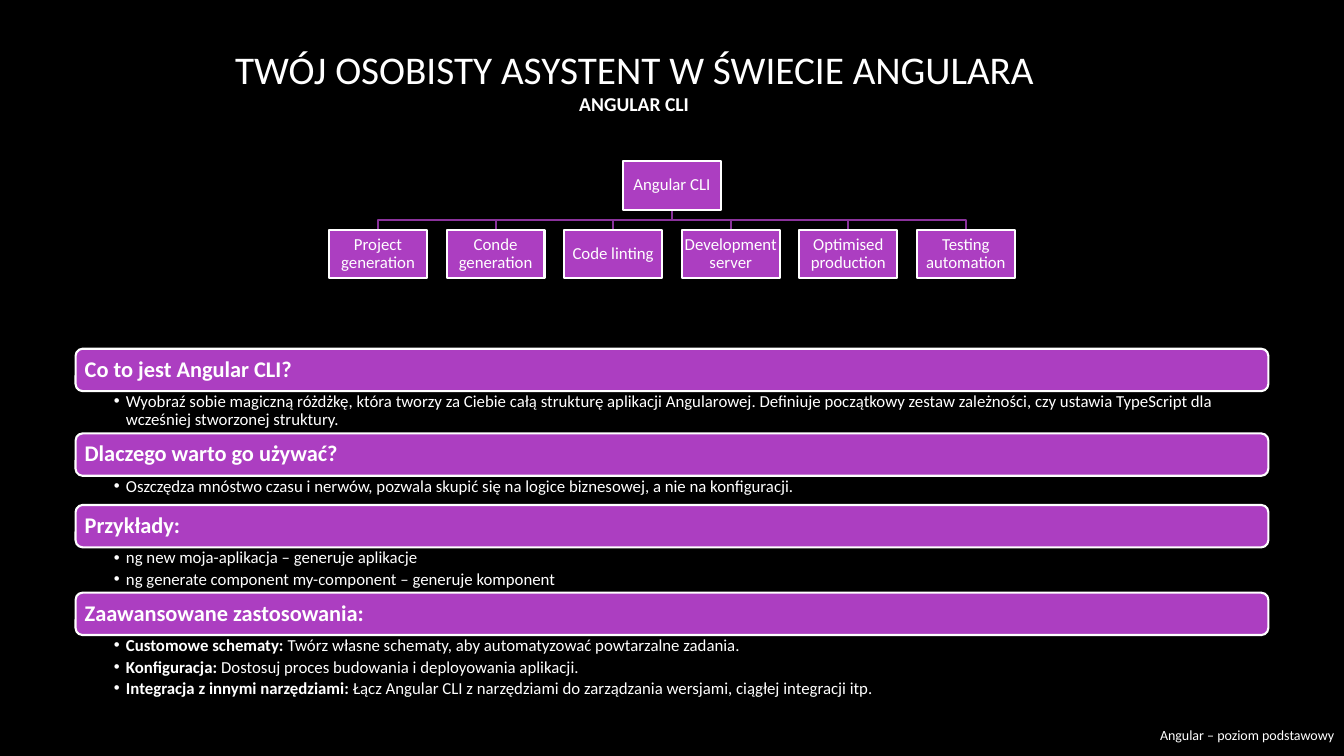
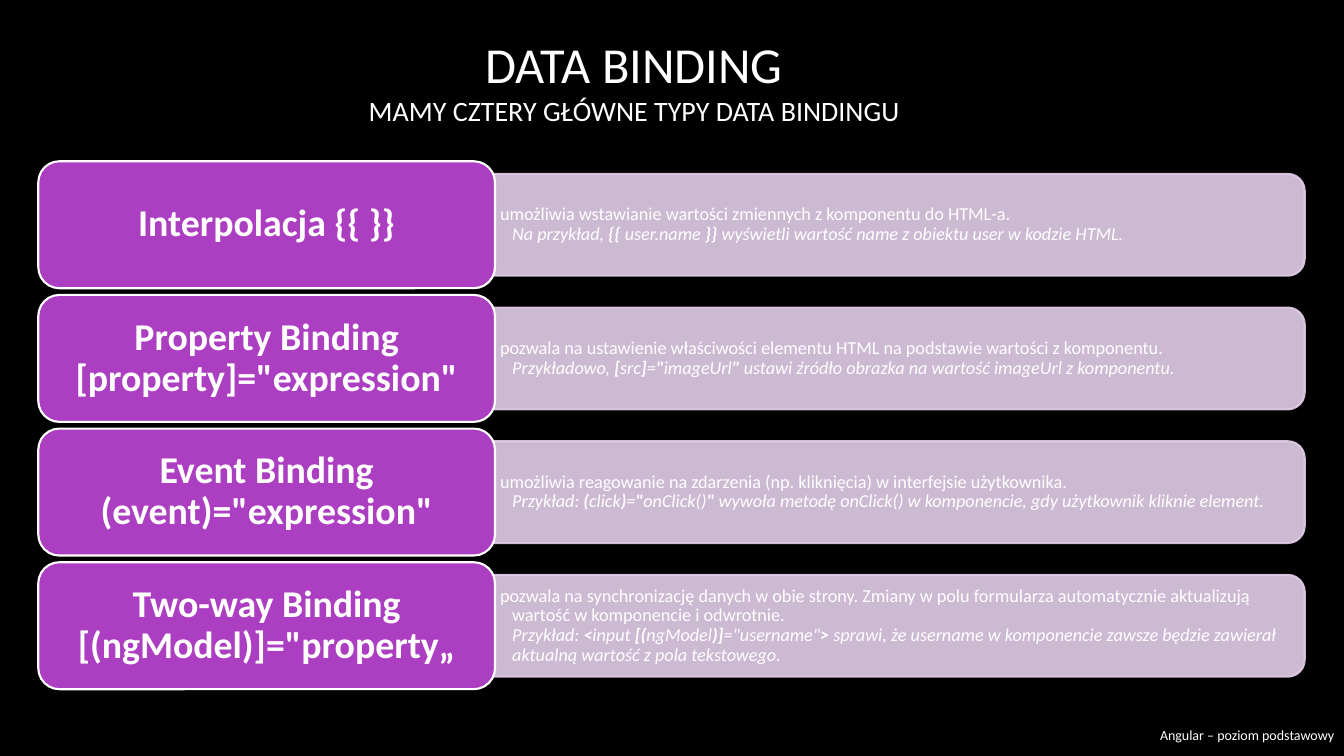
from lxml.etree import SubElement
from pptx import Presentation
from pptx.dml.color import RGBColor
from pptx.enum.shapes import MSO_SHAPE
from pptx.enum.text import MSO_ANCHOR, PP_ALIGN
from pptx.oxml.ns import qn
from pptx.util import Pt

PX = 9144  # 100 px to the inch
FONT = "Calibri"
BLACK, WHITE = "000000", "FFFFFF"
PURPLE, DARK_PURPLE, PALE_PURPLE = "AC3EC1", "8A329B", "E3CEE9"
BREAK = ("\n", "")

# Content
FOOTER = "Angular – poziom podstawowy"
CLI_TITLE = [("TWÓJ OSOBISTY ASYSTENT W ŚWIECIE ANGULARA", 28, ""), ("ANGULAR CLI", 14, "b")]
BINDING_TITLE = [("DATA BINDING", 36, ""), ("MAMY CZTERY GŁÓWNE TYPY DATA BINDINGU", 20, "")]

CLI_ROOT = "Angular CLI"
CLI_FEATURES = ["Project generation", "Conde generation", "Code linting",
                "Development server", "Optimised production", "Testing automation"]

# Heading, height of the details, details as (bold lead, rest)
CLI_SECTIONS = [
    ("Co to jest Angular CLI?", 42, [
        ("", "Wyobraź sobie magiczną różdżkę, która tworzy za Ciebie całą strukturę aplikacji "
             "Angularowej. Definiuje początkowy zestaw zależności, czy ustawia TypeScript dla "
             "wcześniej stworzonej struktury.")]),
    ("Dlaczego warto go używać?", 29, [
        ("", "Oszczędza mnóstwo czasu i nerwów, pozwala skupić się na logice biznesowej, "
             "a nie na konfiguracji.")]),
    ("Przykłady:", 45, [
        ("", "ng new moja-aplikacja – generuje aplikacje"),
        ("", "ng generate component my-component – generuje komponent")]),
    ("Zaawansowane zastosowania:", 69, [
        ("Customowe schematy:", " Twórz własne schematy, aby automatyzować powtarzalne zadania."),
        ("Konfiguracja:", " Dostosuj proces budowania i deployowania aplikacji."),
        ("Integracja z innymi narzędziami:",
         " Łącz Angular CLI z narzędziami do zarządzania wersjami, ciągłej integracji itp.")]),
]

# Name, description, example pieces (every second piece is bold)
BINDINGS = [
    ("Interpolacja {{ }}",
     "umożliwia wstawianie wartości zmiennych z komponentu do HTML-a.",
     ["Na przykład, ", "{{", " user.name ", "}}",
      " wyświetli wartość name z obiektu user w kodzie HTML."]),
    ('Property Binding [property]="expression"',
     "pozwala na ustawienie właściwości elementu HTML na podstawie wartości z komponentu.",
     ["Przykładowo, ", "[", "src", "]", "=", '"', "imageUrl", '"',
      " ustawi źródło obrazka na wartość imageUrl z komponentu."]),
    ('Event Binding (event)="expression"',
     "umożliwia reagowanie na zdarzenia (np. kliknięcia) w interfejsie użytkownika.",
     ["Przykład: ", "(", "click", ")", "=", '"', "onClick()", '"',
      " wywoła metodę onClick() w komponencie, gdy użytkownik kliknie element."]),
    ('Two-way Binding [(ngModel)]="property„',
     "pozwala na synchronizację danych w obie strony. Zmiany w polu formularza "
     "automatycznie aktualizują wartość w komponencie i odwrotnie.",
     ["Przykład: ", "<", "input ", "[(", "ngModel", ")]", '="username"', ">",
      " sprawi, że username w komponencie zawsze będzie zawierał aktualną wartość "
      "z pola tekstowego."]),
]


# Shared helpers
def emu(px):
    return round(px * PX)


def color(value):
    return RGBColor.from_string(value)


def add_runs(paragraph, pieces, size):
    """Pieces are (text, style) with b for bold and i for italic."""
    for text, style in pieces:
        if text == "\n":
            paragraph.add_line_break()
            SubElement(paragraph._p[-1], qn("a:rPr"), sz=str(size * 100))
            continue
        run = paragraph.add_run()
        run.text = text
        run.font.name, run.font.size = FONT, Pt(size)
        run.font.bold, run.font.italic = "b" in style, "i" in style
        run.font.color.rgb = color(WHITE)


def prepare(shape, insets, anchor=MSO_ANCHOR.MIDDLE):
    frame = shape.text_frame
    frame.word_wrap = True
    frame.vertical_anchor = anchor
    frame.margin_left, frame.margin_top, frame.margin_right, frame.margin_bottom = map(emu, insets)
    return frame


def add_textbox(slide, box, insets, anchor=MSO_ANCHOR.MIDDLE):
    return prepare(slide.shapes.add_textbox(*map(emu, box)), insets, anchor)


def hang(paragraph, bullet=None):
    properties = paragraph._p.get_or_add_pPr()
    properties.set("marL", str(emu(12)))
    properties.set("indent", str(emu(-12)))
    if bullet:
        SubElement(properties, qn("a:buFont"), typeface="Arial")
        SubElement(properties, qn("a:buChar"), char=bullet)
    paragraph.line_spacing = 0.9


def outline(shape, line):
    shape.shadow.inherit = False
    shape.line.color.rgb = color(line)
    shape.line.width = Pt(1.5)


def add_panel(slide, kind, box, fill=PURPLE, line=WHITE):
    panel = slide.shapes.add_shape(kind, *map(emu, box))
    outline(panel, line)
    panel.fill.solid()
    panel.fill.fore_color.rgb = color(fill)
    return panel


def add_label(panel, text, size, insets, style="", align=PP_ALIGN.CENTER):
    paragraph = prepare(panel, insets).paragraphs[0]
    paragraph.alignment = align
    paragraph.line_spacing = 0.9
    add_runs(paragraph, [(text, style)], size)


def add_branch(slide, start, *corners):
    builder = slide.shapes.build_freeform(*map(emu, start))
    builder.add_line_segments([(emu(x), emu(y)) for x, y in corners], close=False)
    branch = builder.convert_to_shape()
    outline(branch, DARK_PURPLE)
    branch.fill.background()


def add_slide(deck, title_lines):
    slide = deck.slides.add_slide(deck.slide_layouts[6])
    slide.background.fill.solid()
    slide.background.fill.fore_color.rgb = color(BLACK)
    title = add_textbox(slide, (75, 0, 1108, 159), (10, 5, 10, 5)).paragraphs[0]
    title.alignment = PP_ALIGN.CENTER
    for index, (text, size, style) in enumerate(title_lines):
        if index:
            add_runs(title, [BREAK], size)
        add_runs(title, [(text, style)], size)
    footer = add_textbox(slide, (1136, 709, 197, 41), (10, 5, 10, 5)).paragraphs[0]
    footer.alignment = PP_ALIGN.RIGHT
    add_runs(footer, [(FOOTER, "")], 10)
    return slide


# Slide 1: feature tree and sections
def add_feature_tree(slide):
    width, height, pitch, middle = 97, 48, 116.6, 666.5
    root_top, feature_top = 160, 228
    root_bottom = root_top + height
    bus = (root_bottom + feature_top) / 2
    first = middle - pitch * (len(CLI_FEATURES) - 1) / 2
    centers = [first + index * pitch for index in range(len(CLI_FEATURES))]

    for center in reversed(centers):
        add_branch(slide, (middle, root_bottom), (middle, bus), (center, bus),
                   (center, feature_top))
    nodes = [(CLI_ROOT, middle, root_top)]
    nodes += [(text, center, feature_top) for text, center in zip(CLI_FEATURES, centers)]
    for text, center, top in nodes:
        node = add_panel(slide, MSO_SHAPE.RECTANGLE, (center - width / 2, top, width, height))
        add_label(node, text, 12, (1, 1, 1, 1))


def add_sections(slide):
    left, top, width, band = 75, 346, 1183, 42
    for heading, height, details in CLI_SECTIONS:
        panel = add_panel(slide, MSO_SHAPE.ROUNDED_RECTANGLE, (left, top, width, band))
        add_label(panel, heading, 16, (7, 7, 7, 7), "b", PP_ALIGN.LEFT)
        frame = add_textbox(slide, (left, top + band, width, height), (38, 2, 12, 2),
                            MSO_ANCHOR.TOP)
        for index, (lead, rest) in enumerate(details):
            paragraph = frame.add_paragraph() if index else frame.paragraphs[0]
            paragraph.space_after = Pt(2.4)
            hang(paragraph, "•")
            add_runs(paragraph, [piece for piece in ((lead, "b"), (rest, "")) if piece[0]], 12)
        top += band + height


# Slide 2: binding rows
def add_binding_rows(slide):
    top, pitch, height = 160, 132.6, 126
    name_left, name_width = 38, 453
    bar_left, bar_width, bar_height, text_height = 490, 804, 101, 91
    for index, (name, description, example) in enumerate(BINDINGS):
        row_top = top + index * pitch
        middle = row_top + height / 2
        # The bar is an upright shape turned a quarter
        bar = add_panel(slide, MSO_SHAPE.ROUND_2_SAME_RECTANGLE,
                        (bar_left + (bar_width - bar_height) / 2, middle - bar_width / 2,
                         bar_height, bar_width), PALE_PURPLE, PALE_PURPLE)
        bar.rotation = 90
        for tone in bar._element.spPr.iter(qn("a:srgbClr")):
            SubElement(tone, qn("a:alpha"), val="90000")
        paragraph = add_textbox(slide, (bar_left + 1, middle - text_height / 2, 799, text_height),
                                (5, 3, 5, 3)).paragraphs[0]
        hang(paragraph)
        pieces = [(text, "bi" if place % 2 else "i") for place, text in enumerate(example)]
        add_runs(paragraph, [(description, ""), BREAK] + pieces, 13)
        panel = add_panel(slide, MSO_SHAPE.ROUNDED_RECTANGLE,
                          (name_left, row_top, name_width, height))
        add_label(panel, name, 27, (11, 6, 11, 6), "b")


def main():
    deck = Presentation()
    deck.slide_width, deck.slide_height = emu(1333), emu(750)
    cli = add_slide(deck, CLI_TITLE)
    add_sections(cli)
    add_feature_tree(cli)
    add_binding_rows(add_slide(deck, BINDING_TITLE))
    deck.save("out.pptx")


if __name__ == "__main__":
    main()
